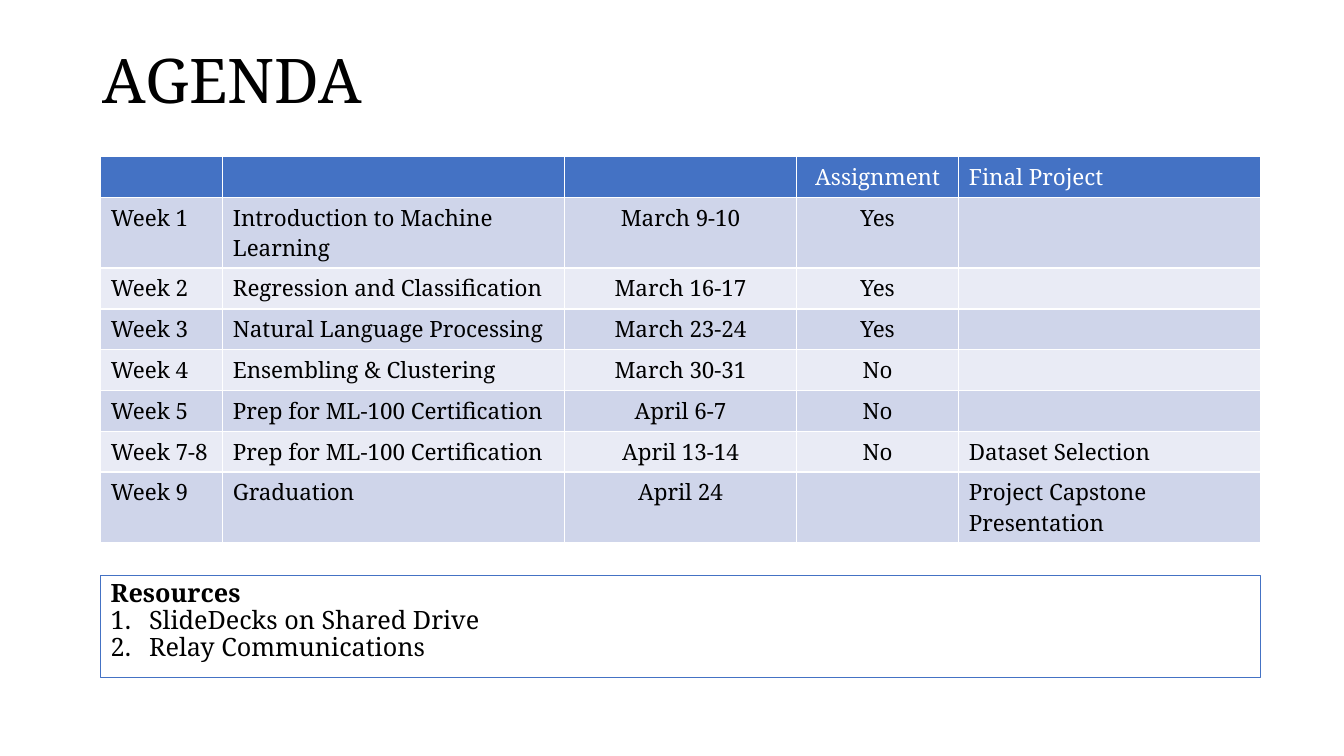
"""Build the course agenda slide with its schedule table and resources box."""
from lxml import etree
from pptx import Presentation
from pptx.dml.color import RGBColor
from pptx.enum import shapes, text
from pptx.oxml import ns
from pptx.util import Inches, Pt

FONT = "Noto Serif"
BLUE, WHITE, BLACK = "4472C4", "FFFFFF", "000000"
BANDS = ("E9EBF5", "CFD5EA")
COLUMN_WIDTHS = (1.21, 3.39, 2.3, 1.61, 2.99)
CENTRED_COLUMNS = (2, 3)
TALL_ROWS = (1, 7)
SCHEDULE = (
    ("", "", "", "Assignment", "Final Project"),
    ("Week 1", "Introduction to Machine Learning", "March 9-10", "Yes", ""),
    ("Week 2", "Regression and Classification", "March 16-17", "Yes", ""),
    ("Week 3", "Natural Language Processing", "March 23-24", "Yes", ""),
    ("Week 4", "Ensembling & Clustering", "March 30-31", "No", ""),
    ("Week 5", "Prep for ML-100 Certification", "April 6-7", "No", ""),
    ("Week 7-8", "Prep for ML-100 Certification", "April 13-14", "No", "Dataset Selection"),
    ("Week 9", "Graduation", "April 24", "", "Project Capstone Presentation"),
)
RESOURCES = ("SlideDecks on Shared Drive", "Relay Communications")


def color(value):
    return RGBColor.from_string(value)


def box(left, top, width, height):
    return [Inches(length) for length in (left, top, width, height)]


def write(paragraph, words, size, ink=BLACK, bold=False, align=text.PP_ALIGN.LEFT):
    paragraph.text = words
    paragraph.alignment = align
    for run in paragraph.runs:
        run.font.name = FONT
        run.font.size = Pt(size)
        run.font.bold = bold
        run.font.color.rgb = color(ink)


def number(paragraph):
    properties = paragraph._p.get_or_add_pPr()
    properties.set("marL", str(Inches(0.38)))
    properties.set("indent", str(-Inches(0.38)))
    etree.SubElement(properties, ns.qn("a:buFont"), typeface="+mj-lt")
    etree.SubElement(properties, ns.qn("a:buAutoNum"), type="arabicPeriod")


def add_title(slide):
    title = slide.shapes.title
    title.left, title.top, title.width, title.height = box(0.92, 0.4, 11.5, 0.86)
    title.text_frame.vertical_anchor = text.MSO_ANCHOR.MIDDLE
    heading = title.text_frame.paragraphs[0]
    write(heading, "AGENDA", 44)
    heading.line_spacing = 0.9


def add_schedule(slide):
    frame = slide.shapes.add_table(len(SCHEDULE), len(COLUMN_WIDTHS), *box(1, 1.55, 11.5, 3.8))
    schedule = frame.table
    for column, width in zip(schedule.columns, COLUMN_WIDTHS):
        column.width = Inches(width)
    for row, entries in enumerate(SCHEDULE):
        schedule.rows[row].height = Inches(0.7 if row in TALL_ROWS else 0.4)
        for column, entry in enumerate(entries):
            cell = schedule.cell(row, column)
            cell.fill.solid()
            cell.fill.fore_color.rgb = color(BANDS[row % 2] if row else BLUE)
            centred = column in CENTRED_COLUMNS
            write(cell.text_frame.paragraphs[0], entry, 16, BLACK if row else WHITE,
                  align=text.PP_ALIGN.CENTER if centred else text.PP_ALIGN.LEFT)


def add_resources(slide):
    resources = slide.shapes.add_shape(shapes.MSO_SHAPE.RECTANGLE, *box(1, 5.71, 11.5, 1.01))
    resources.shadow.inherit = False
    resources.fill.background()
    resources.line.color.rgb = color(BLUE)
    resources.line.width = Pt(0.75)
    body = resources.text_frame
    body.word_wrap = True
    body.vertical_anchor = text.MSO_ANCHOR.TOP
    write(body.paragraphs[0], "Resources", 18, bold=True)
    for resource in RESOURCES:
        item = body.add_paragraph()
        write(item, resource, 18)
        number(item)
    for paragraph in body.paragraphs:
        paragraph.line_spacing = 0.9


def main():
    deck = Presentation()
    deck.slide_width, deck.slide_height = Inches(13.33), Inches(7.5)
    slide = deck.slides.add_slide(deck.slide_layouts[5])
    add_title(slide)
    add_schedule(slide)
    add_resources(slide)
    deck.save("out.pptx")


main()
